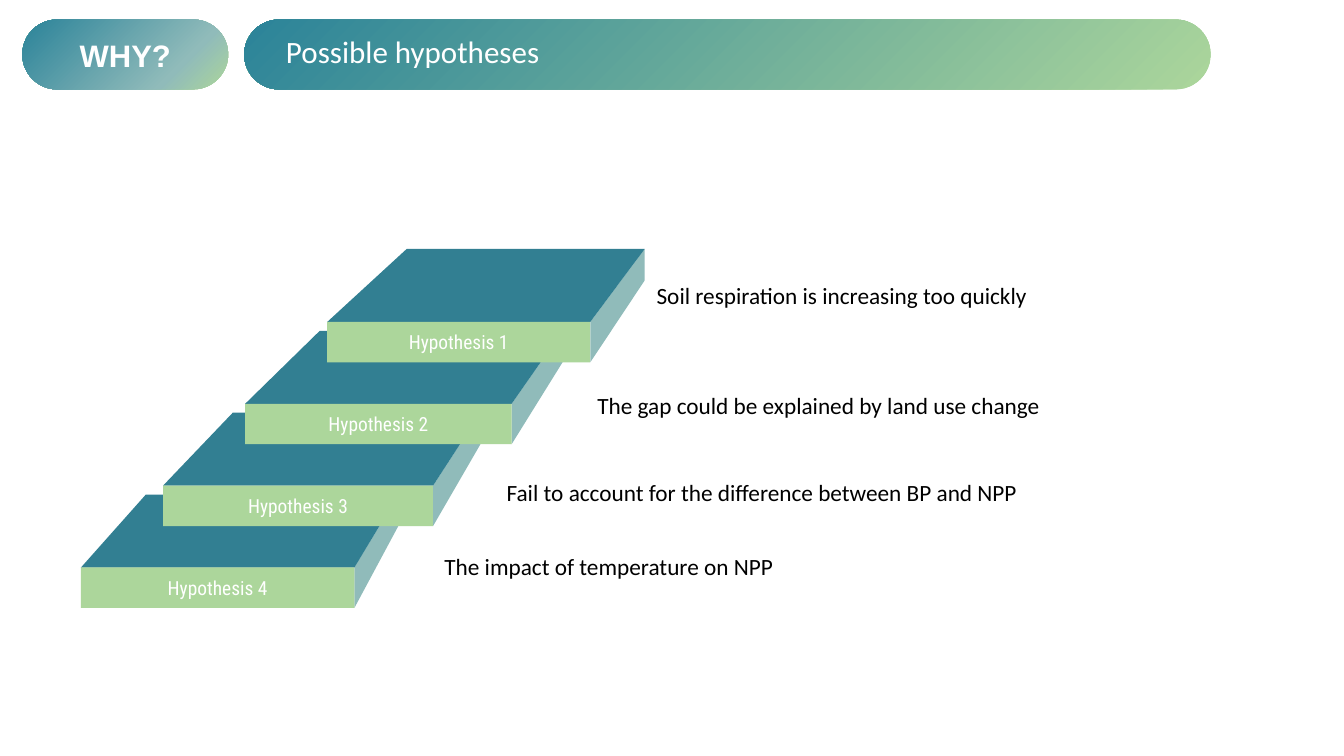
import pptx
import pptx.dml.color
import pptx.enum.shapes
import pptx.enum.text
import pptx.oxml.ns
import pptx.util
from lxml import etree

RGBColor = pptx.dml.color.RGBColor
Shape = pptx.enum.shapes.MSO_SHAPE
Align = pptx.enum.text.PP_ALIGN
Anchor = pptx.enum.text.MSO_ANCHOR
qn = pptx.oxml.ns.qn

TEAL = RGBColor(0x2B, 0x83, 0x99)
DEEP_TEAL = RGBColor(0x32, 0x7F, 0x92)
MIST = RGBColor(0x90, 0xBB, 0xBA)
GREEN = RGBColor(0xAC, 0xD6, 0x9B)
WHITE = RGBColor(0xFF, 0xFF, 0xFF)
BLACK = RGBColor(0, 0, 0)

HYPOTHESES = [
    ("Hypothesis 4", "The impact of temperature on NPP", 32.55, 72.58, 37.18),
    ("Hypothesis 3", "Fail to account for the difference between BP and NPP", 37.18, 62.79, 41.23),
    ("Hypothesis 2", "The gap could be explained by land use change", 43.93, 51.25, 35.51),
    ("Hypothesis 1", "Soil respiration is increasing too quickly", 48.34, 36.75, 33.39),
]


class Page:
    """Positions and sizes are percentages of the slide's width and height."""

    body_font = "Calibri"
    label_font = "Roboto Condensed"
    heading_font = "Arial"

    def __init__(self, deck):
        self.width, self.height = deck.slide_width, deck.slide_height
        self.shapes = deck.slides.add_slide(deck.slide_layouts[6]).shapes

    def point(self, x, y):
        return round(self.width * x / 100), round(self.height * y / 100)

    def finish(self, shape):
        shape.shadow.inherit = False
        shape.line.fill.background()
        return shape

    def block(self, kind, left, top, width, height):
        frame = self.point(left, top) + self.point(width, height)
        return self.finish(self.shapes.add_shape(kind, *frame))

    def pill(self, left, width, stops):
        shape = self.block(Shape.ROUNDED_RECTANGLE, left, 2.59, width, 9.23)
        shape.adjustments[0] = 0.5
        shape.fill.gradient()
        shape.fill.gradient_angle = 135
        stop_list = shape._element.spPr.find(".//" + qn("a:gsLst"))
        for stop in list(stop_list):
            stop_list.remove(stop)
        for share, color in stops:
            stop = etree.SubElement(stop_list, qn("a:gs"), pos=str(share * 1000))
            etree.SubElement(stop, qn("a:srgbClr"), val=str(color))

    def face(self, points, color):
        corners = [self.point(x, y) for x, y in points]
        builder = self.shapes.build_freeform(*corners[0], scale=1.0)
        builder.add_line_segments(corners[1:], close=True)
        shape = self.finish(builder.convert_to_shape())
        shape.fill.solid()
        shape.fill.fore_color.rgb = color

    def letter(self, shape, words, font, size, color, align=Align.LEFT, bold=False):
        para = shape.text_frame.paragraphs[0]
        para.text = words
        para.alignment = align
        para.font.name = font
        para.font.size = pptx.util.Pt(size)
        para.font.bold = bold
        para.font.color.rgb = color

    def text(self, left, top, width, height, words, *style, **options):
        box = self.shapes.add_textbox(*self.point(left, top), *self.point(width, height))
        box.text_frame.word_wrap = True
        box.text_frame.auto_size = pptx.enum.text.MSO_AUTO_SIZE.SHAPE_TO_FIT_TEXT
        self.letter(box, words, *style, **options)

    def step(self, index, label):
        left, front_top = 6.02 + 6.11 * index, 75.07 - 10.83 * index
        front_width, front_height = 20.35 - 0.26 * index, 5.35
        front_right, front_bottom = left + front_width, front_top + front_height
        back_left, back_right = left + 4.83 + 0.36 * index, left + 23.62
        back_top = front_top - 9.65
        self.face([(back_right, back_top + 4.16), (front_right, front_bottom),
                   (front_right, front_top), (back_right, back_top)], MIST)
        self.face([(front_right, front_top), (left, front_top),
                   (back_left, back_top), (back_right, back_top)], DEEP_TEAL)
        front = self.block(Shape.RECTANGLE, left, front_top, front_width, front_height)
        front.fill.solid()
        front.fill.fore_color.rgb = GREEN
        front.text_frame.word_wrap = False
        front.text_frame.vertical_anchor = Anchor.MIDDLE
        self.letter(front, label, self.label_font, 20, WHITE, Align.CENTER)


def main():
    deck = pptx.Presentation()
    deck.slide_width = pptx.util.Inches(19.26)
    deck.slide_height = pptx.util.Inches(10.83)
    page = Page(deck)

    page.pill(1.66, 15.32, [(0, GREEN), (26, MIST), (100, TEAL)])
    page.text(3.12, 4.34, 12.41, 5.91, "WHY?", page.heading_font, 32, WHITE,
              align=Align.CENTER, bold=True)
    page.pill(18.17, 71.91, [(0, GREEN), (100, TEAL)])
    page.text(20.77, 3.88, 66.72, 5.91, "Possible hypotheses", page.body_font, 32, WHITE)

    for index, (label, claim, left, top, width) in enumerate(HYPOTHESES):
        page.step(index, label)
        page.text(left, top, width, 4.62, claim, page.body_font, 24, BLACK)

    deck.save("out.pptx")


if __name__ == "__main__":
    main()
